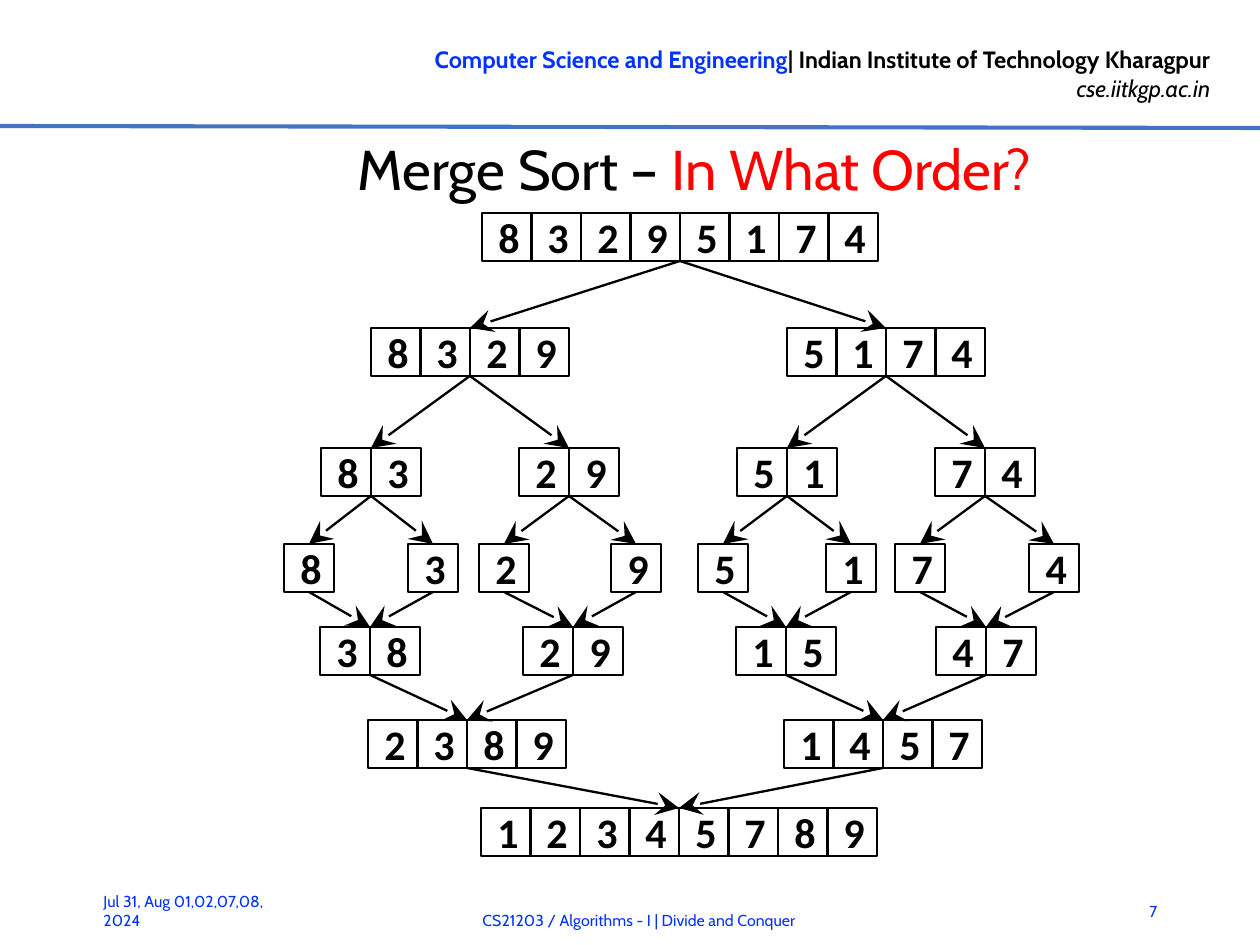
from dataclasses import dataclass

from lxml import etree
from pptx import Presentation, util as u
from pptx.dml.color import RGBColor
from pptx.enum import shapes, text
from pptx.oxml.ns import qn

PX = 914400 / 168
CELL_W, CELL_H, TWO_CELLS = 50, 48, 99

# Each level: top, the arrays in it, and the centre of each array
LEVELS = [
    (213, ["83295174"], [680]),
    (328, ["8329", "5174"], [470, 886]),
    (448, ["83", "29", "51", "74"], [371, 569, 787, 985]),
    (544, list("83295174"), [309, 433, 504, 636, 723, 851, 920, 1054]),
    (627, ["38", "29", "15", "47"], [370, 573, 786, 986]),
    (720, ["2389", "1457"], [467, 883]),
    (808, ["12345789"], [679]),
]


@dataclass(frozen=True)
class Theme:
    ink: str = "000000"
    accent: str = "FF0000"
    blue: str = "0432FF"
    rule: str = "4472C4"
    face: str = "Cabin"
    digit_face: str = "Calibri"
    title: float = 24
    digit: float = 18
    header: float = 10.1
    footer: float = 6.8
    line: float = 1
    rule_line: float = 1.75


T = Theme()
MIDDLE = text.MSO_ANCHOR.MIDDLE
LEFT, CENTER, RIGHT = (text.PP_ALIGN.LEFT, text.PP_ALIGN.CENTER,
                       text.PP_ALIGN.RIGHT)


def emu(*lengths):
    return [u.Emu(round(n * PX)) for n in lengths]


def set_attrs(obj, **values):
    for name, value in values.items():
        setattr(obj, name, value)


def add_run(p, words, size, color=T.ink, name=T.face, **style):
    r = p.add_run()
    r.text = words
    set_attrs(r.font, size=u.Pt(size), name=name, **style)
    r.font.color.rgb = RGBColor.from_string(color)


def add_textbox(s, box, align, lines, wrap=True, anchor=MIDDLE):
    """Each line is a list of (words, run format) pairs."""
    tf = s.shapes.add_textbox(*emu(*box)).text_frame
    set_attrs(tf, word_wrap=wrap, vertical_anchor=anchor)
    for i, runs in enumerate(lines):
        p = tf.add_paragraph() if i else tf.paragraphs[0]
        p.alignment = align
        for words, style in runs:
            add_run(p, words, **style)


def add_line(s, start, end, color=T.ink, width=T.line, arrow=False):
    cn = s.shapes.add_connector(shapes.MSO_CONNECTOR.STRAIGHT,
                                *emu(*start, *end))
    cn.line.color.rgb = RGBColor.from_string(color)
    cn.line.width = u.Pt(width)
    if arrow:
        etree.SubElement(cn.line._get_or_add_ln(), qn("a:tailEnd"),
                         type="stealth", w="lg", len="lg")
    etree.SubElement(cn._element.spPr, qn("a:effectLst"))


def add_cell(s, left, top, digit):
    sp = s.shapes.add_shape(shapes.MSO_SHAPE.RECTANGLE,
                            *emu(left, top, CELL_W, CELL_H))
    sp.shadow.inherit = False
    sp.fill.background()
    sp.line.color.rgb = RGBColor.from_string(T.ink)
    sp.line.width = u.Pt(T.line)
    sp.text_frame.vertical_anchor = MIDDLE
    p = sp.text_frame.paragraphs[0]
    p.alignment = CENTER
    add_run(p, digit, T.digit, name=T.digit_face, bold=True)


def add_array(s, center, top, digits):
    for i, digit in enumerate(digits):
        left = center + (2 * i - len(digits)) * TWO_CELLS // 4
        add_cell(s, left, top, digit)


def add_level_arrows(s, upper, lower):
    """Join each array to its two halves, or each pair to its merged array."""
    (top, _, parents), (next_top, _, children) = upper, lower
    for i in range(max(len(parents), len(children))):
        start = parents[i * len(parents) // max(len(parents), len(children))]
        end = children[i * len(children) // max(len(parents), len(children))]
        add_line(s, (start, top + CELL_H), (end, next_top), arrow=True)


def set_title(s):
    title = s.shapes.title
    set_attrs(title, **dict(zip(("left", "top", "width", "height"),
                                emu(183, 133, 1023, 69))))
    tf = title.text_frame
    set_attrs(tf, margin_left=0, margin_right=0, margin_bottom=0,
              margin_top=emu(2)[0], vertical_anchor=MIDDLE,
              auto_size=text.MSO_AUTO_SIZE.NONE)
    p = tf.paragraphs[0]
    p.alignment = CENTER
    add_run(p, "Merge Sort – ", T.title)
    add_run(p, "In What Order?", T.title, T.accent)


def add_header(s):
    bold = {"size": T.header, "bold": True}
    add_textbox(s, (321, 37, 906, 74), RIGHT, [
        [("Computer Science and Engineering", {**bold, "color": T.blue}),
         ("| Indian Institute of Technology Kharagpur", bold)],
        [("cse.iitkgp.ac.in", {"size": T.header, "italic": True})],
    ], wrap=False, anchor=text.MSO_ANCHOR.TOP)
    add_line(s, (0, 126), (1260, 128), T.rule, T.rule_line)


def add_footer(s):
    style = {"size": T.footer, "color": T.blue}
    for box, align, words in [
        ((87, 886, 220, 50), LEFT, "Jul 31, Aug 01,02,07,08, 2024"),
        ((265, 895, 748, 50), CENTER,
         "CS21203 / Algorithms - I | Divide and Conquer"),
        ((1112, 886, 62, 50), RIGHT, "7"),
    ]:
        add_textbox(s, box, align, [[(words, style)]])


def main():
    prs = Presentation()
    prs.slide_width, prs.slide_height = emu(1260, 945)
    s = prs.slides.add_slide(prs.slide_layouts[5])
    add_header(s)
    set_title(s)
    for top, arrays, centers in LEVELS:
        for digits, center in zip(arrays, centers):
            add_array(s, center, top, digits)
    for upper, lower in zip(LEVELS, LEVELS[1:]):
        add_level_arrows(s, upper, lower)
    add_footer(s)
    prs.save("out.pptx")


if __name__ == "__main__":
    main()
